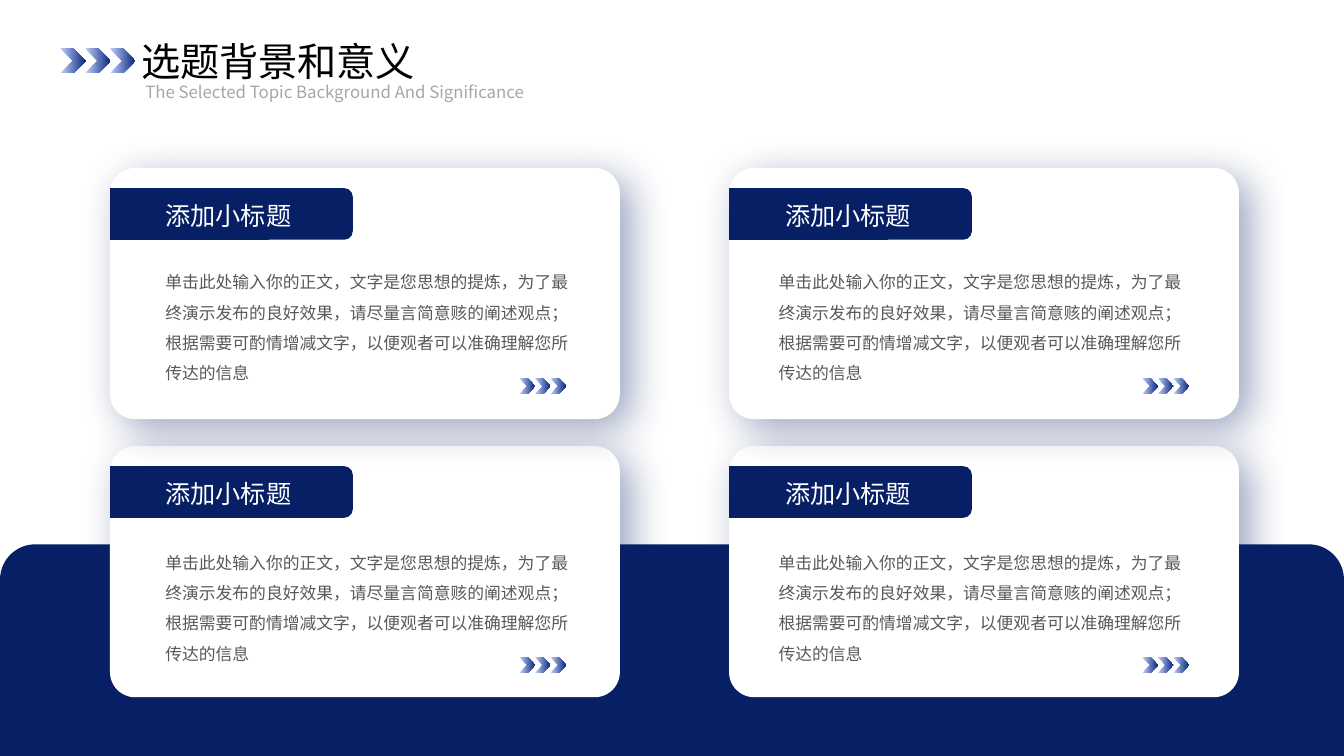
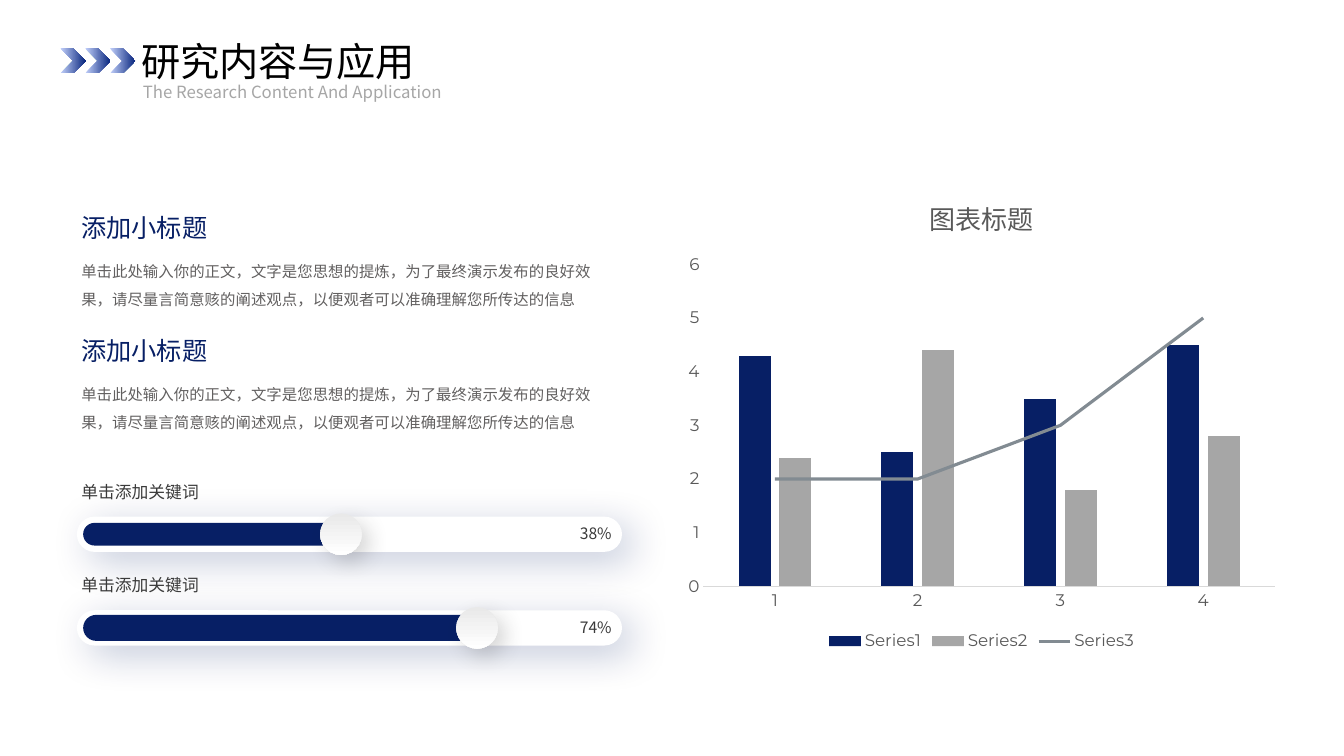
from dataclasses import dataclass
from typing import Optional

from lxml.etree import SubElement
from pptx import Presentation
from pptx.chart.data import CategoryChartData
from pptx.dml.color import RGBColor
from pptx.enum.chart import (XL_CHART_TYPE, XL_LEGEND_POSITION, XL_MARKER_STYLE,
                             XL_TICK_MARK)
from pptx.enum.shapes import MSO_SHAPE
from pptx.enum.text import MSO_ANCHOR, MSO_AUTO_SIZE, PP_ALIGN
from pptx.oxml.ns import qn
from pptx.util import Emu, Pt

# The slide is a grid of 160 columns by 90 rows; a cell is 6 points square.
COLUMNS, ROWS = 160, 90
CELL = Pt(6)

NAVY, WHITE, BLACK = "071F65", "FFFFFF", "000000"
PALE_BLUE, DEEP_BLUE = "C3D1FB", "09277F"
DARK, TEXT, SOFT_TEXT = "3A3A3A", "595959", "626060"
GREY, PALE_GREY, LINE_GREY, AXIS_GREY = "A6A6A6", "E9E9E9", "828B92", "D9D9D9"

HAN_FONT, CHART_FONT = "Noto Sans CJK SC", "Montserrat"

SUBHEADING = "添加小标题"
KEYWORD = "单击添加关键词"
CARD_TEXT = ("单击此处输入你的正文，文字是您思想的提炼，为了最终演示发布的良好效果，"
             "请尽量言简意赅的阐述观点；根据需要可酌情增减文字，以便观者可以准确理解您所传达的信息")
SECTION_TEXT = ("单击此处输入你的正文，文字是您思想的提炼，为了最终演示发布的良好效果，"
                "请尽量言简意赅的阐述观点，以便观者可以准确理解您所传达的信息")


@dataclass(frozen=True)
class Area:
    """A rectangle in grid cells."""
    left: float
    top: float
    width: float
    height: float

    def shifted(self, columns: float, rows: float) -> "Area":
        return Area(self.left + columns, self.top + rows, self.width, self.height)

    def lengths(self) -> list[Emu]:
        return [cells(n) for n in (self.left, self.top, self.width, self.height)]


@dataclass(frozen=True)
class Tiling:
    """An area repeated at fixed steps across and down."""
    first: Area
    across: float
    down: float

    def tile(self, column: int, row: int) -> Area:
        return self.first.shifted(column * self.across, row * self.down)


@dataclass(frozen=True)
class Style:
    size: float
    colour: str
    spacing: float = 1.0
    align: PP_ALIGN = PP_ALIGN.LEFT
    side_margin: float = 1.2


@dataclass(frozen=True)
class Shadow:
    colour: str
    opacity: int
    blur: float
    distance: float
    angle: int


@dataclass(frozen=True)
class Slider:
    middle: float
    fill_width: float
    fill_height: float
    knob_centre: float
    value: str


TITLE = Style(28, BLACK, side_margin=0)
SUBTITLE = Style(12, GREY, side_margin=0)
CARD_LABEL = Style(18, WHITE)
CARD_BODY = Style(12, TEXT, spacing=1.5)
SECTION_LABEL = Style(18, NAVY)
SECTION_BODY = Style(11, SOFT_TEXT, spacing=1.5)
SLIDER_LABEL = Style(12, DARK)
SLIDER_VALUE = Style(11.2, DARK, align=PP_ALIGN.RIGHT)

CARD_SHADOW = Shadow(NAVY, 40, 29, 10, 40)
TRACK_SHADOW = Shadow(NAVY, 23, 29, 10, 40)
KNOB_SHADOW = Shadow(DARK, 20, 15, 8, 45)

CARDS = Tiling(Area(13.1, 20, 60.7, 29.9), 73.7, 33.1)
CARD_LABELS = Tiling(Area(18.5, 23.2, 19.9, 4.8), 73.8, 33.1)
CARD_BODIES = Tiling(Area(18.5, 30.6, 51.2, 15.4), 73, 33.4)
CARD_CHEVRONS = Tiling(Area(61.85, 45, 1.85, 1.95), 74.15, 33.2)
TAB_LENGTH, TAB_HEIGHT, TAB_DROP = 28.9, 6.15, 2.4

SECTION_LABELS = Tiling(Area(8.5, 24.7, 28, 4.8), 0, 14.65)
SECTION_BODIES = Tiling(Area(8.5, 29.5, 63.8, 7.6), 0, 14.65)
SLIDERS = [Slider(63.6, 31.7, 2.7, 40.6, "38%"),
           Slider(74.75, 49, 3.1, 56.8, "74%")]
KNOB = 4.95


def cells(count: float) -> Emu:
    return Emu(round(count * CELL))


def colour(value: str) -> RGBColor:
    return RGBColor.from_string(value)


def style_font(font, size: float, shade: str, name: str) -> None:
    font.size = Pt(size)
    font.bold = False
    font.color.rgb = colour(shade)
    font.name = name


def style_span(span, size: float, shade: str) -> None:
    """Set the font for Latin and Chinese letters alike."""
    style_font(span.font, size, shade, HAN_FONT)
    SubElement(span.font._element, qn("a:ea"), typeface=HAN_FONT)


def write(box, area: Area, text: str, style: Style) -> None:
    box.left, box.top, box.width, box.height = area.lengths()
    frame = box.text_frame
    frame.text = text
    frame.word_wrap = True
    frame.auto_size = MSO_AUTO_SIZE.NONE
    frame.vertical_anchor = MSO_ANCHOR.TOP
    frame.margin_left = frame.margin_right = cells(style.side_margin)
    frame.margin_top = frame.margin_bottom = cells(0.6)
    para = frame.paragraphs[0]
    para.alignment = style.align
    para.line_spacing = style.spacing
    style_span(para.runs[0], style.size, style.colour)


def add_text(page, area: Area, text: str, style: Style) -> None:
    write(page.shapes.add_textbox(*area.lengths()), area, text, style)


def add_shadow(shape, shadow: Shadow) -> None:
    effects = shape._element.spPr.find(qn("a:effectLst"))
    outer = SubElement(effects, qn("a:outerShdw"), blurRad=str(Pt(shadow.blur)),
                       dist=str(Pt(shadow.distance)), dir=str(shadow.angle * 60000),
                       algn="tl", rotWithShape="0")
    shade = SubElement(outer, qn("a:srgbClr"), val=shadow.colour)
    SubElement(shade, qn("a:alpha"), val=str(shadow.opacity * 1000))


def add_shape(page, kind: MSO_SHAPE, area: Area, *fills: str, angle: float = 0,
              shadow: Optional[Shadow] = None):
    """Draw a borderless shape; two fills make a gradient."""
    shape = page.shapes.add_shape(kind, *area.lengths())
    shape.shadow.inherit = False
    shape.line.fill.background()
    if len(fills) == 1:
        shape.fill.solid()
        shape.fill.fore_color.rgb = colour(fills[0])
    else:
        shape.fill.gradient()
        shape.fill.gradient_angle = angle
        for stop, shade in zip(shape.fill.gradient_stops, fills):
            stop.color.rgb = colour(shade)
    if shadow:
        add_shadow(shape, shadow)
    return shape


def add_chevrons(page, first: Area, step: float) -> None:
    for index in range(3):
        add_shape(page, MSO_SHAPE.CHEVRON, first.shifted(index * step, 0),
                  PALE_BLUE, DEEP_BLUE)


def add_page(deck, title: str, subtitle: str, subtitle_left: float):
    page = deck.slides.add_slide(deck.slide_layouts.get_by_name("Title Only"))
    add_chevrons(page, Area(7.2, 5.75, 3, 3), 2.95)
    write(page.shapes.title, Area(16.8, 3.85, 41.6, 6.8), title, TITLE)
    add_text(page, Area(subtitle_left, 9.1, 49.3, 3.6), subtitle, SUBTITLE)
    return page


def add_card(page, column: int, row: int) -> None:
    card = CARDS.tile(column, row)
    panel = add_shape(page, MSO_SHAPE.ROUNDED_RECTANGLE, card, WHITE, shadow=CARD_SHADOW)
    panel.adjustments[0] = 0.1
    turn = (TAB_LENGTH - TAB_HEIGHT) / 2
    upright = Area(card.left + turn, card.top + TAB_DROP - turn, TAB_HEIGHT, TAB_LENGTH)
    tab = add_shape(page, MSO_SHAPE.ROUND_2_SAME_RECTANGLE, upright, NAVY)
    tab.rotation = 90
    add_text(page, CARD_LABELS.tile(column, row), SUBHEADING, CARD_LABEL)
    add_text(page, CARD_BODIES.tile(column, row), CARD_TEXT, CARD_BODY)
    add_chevrons(page, CARD_CHEVRONS.tile(column, row), 1.85)


def add_slider(page, slider: Slider) -> None:
    for area, shade, shadow in (
            (Area(9.15, slider.middle - 2.1, 64.9, 4.2), WHITE, TRACK_SHADOW),
            (Area(9.9, slider.middle - slider.fill_height / 2,
                  slider.fill_width, slider.fill_height), NAVY, None)):
        bar = add_shape(page, MSO_SHAPE.ROUNDED_RECTANGLE, area, shade, shadow=shadow)
        bar.adjustments[0] = 0.5
    add_text(page, Area(8.5, slider.middle - 6.9, 29.2, 4.1), KEYWORD, SLIDER_LABEL)
    add_text(page, Area(63.8, slider.middle - 1.8, 10.2, 4.7), slider.value, SLIDER_VALUE)
    knob = Area(slider.knob_centre - KNOB / 2, slider.middle - KNOB / 2, KNOB, KNOB)
    add_shape(page, MSO_SHAPE.OVAL, knob, PALE_GREY, WHITE, angle=270, shadow=KNOB_SHADOW)


def move_last_series_to_line(chart) -> None:
    bars = chart.plots[0]._element
    series = bars.findall(qn("c:ser"))[-1]
    for bar_only in series.findall(qn("c:invertIfNegative")):
        series.remove(bar_only)
    lines = bars.makeelement(qn("c:lineChart"))
    bars.addnext(lines)
    SubElement(lines, qn("c:grouping"), val="standard")
    SubElement(lines, qn("c:varyColors"), val="0")
    lines.append(series)
    SubElement(lines, qn("c:marker"), val="1")
    for axis in bars.findall(qn("c:axId")):
        SubElement(lines, qn("c:axId"), val=axis.get("val"))


def add_combined_chart(page) -> None:
    data = CategoryChartData()
    data.categories = ["1", "2", "3", "4"]
    data.add_series("Series1", (4.3, 2.5, 3.5, 4.5))
    data.add_series("Series2", (2.4, 4.4, 1.8, 2.8))
    data.add_series("Series3", (2, 2, 3, 5))
    area = Area(80.5, 21, 72.7, 57)
    chart = page.shapes.add_chart(XL_CHART_TYPE.COLUMN_CLUSTERED, *area.lengths(), data).chart
    style_font(chart.font, 12, TEXT, CHART_FONT)
    move_last_series_to_line(chart)

    bars, lines = list(chart.plots)
    bars.vary_by_categories = False
    bars.gap_width, bars.overlap = 219, -27
    for series, shade in zip(bars.series, (NAVY, GREY)):
        series.format.fill.solid()
        series.format.fill.fore_color.rgb = colour(shade)
    trend = lines.series[0]
    trend.smooth = False
    trend.marker.style = XL_MARKER_STYLE.NONE
    trend.format.line.color.rgb = colour(LINE_GREY)
    trend.format.line.width = Pt(2.25)

    for axis in (chart.category_axis, chart.value_axis):
        axis.major_tick_mark = axis.minor_tick_mark = XL_TICK_MARK.NONE
        axis.has_major_gridlines = False
        style_font(axis.tick_labels.font, 12, TEXT, CHART_FONT)
    chart.category_axis.format.line.color.rgb = colour(AXIS_GREY)
    chart.category_axis.format.line.width = Pt(0.75)
    chart.value_axis.format.line.fill.background()
    chart.value_axis.minimum_scale, chart.value_axis.maximum_scale = 0, 6
    chart.value_axis.major_unit = 1

    chart.has_title = True
    heading = chart.chart_title.text_frame
    heading.text = "图表标题"
    style_span(heading.paragraphs[0].runs[0], 18.6, TEXT)
    chart.has_legend = True
    chart.legend.position = XL_LEGEND_POSITION.BOTTOM
    chart.legend.include_in_layout = False
    style_font(chart.legend.font, 12, TEXT, CHART_FONT)


def main() -> None:
    deck = Presentation()
    deck.slide_width, deck.slide_height = cells(COLUMNS), cells(ROWS)

    background = add_page(deck, "选题背景和意义",
                          "The Selected Topic Background And Significance", 17.3)
    add_shape(background, MSO_SHAPE.ROUND_2_SAME_RECTANGLE,
              Area(0, 64.8, COLUMNS, ROWS - 64.8), NAVY)
    for row in (1, 0):
        for column in (0, 1):
            add_card(background, column, row)

    research = add_page(deck, "研究内容与应用", "The Research Content And Application", 17)
    for row in (0, 1):
        add_text(research, SECTION_LABELS.tile(0, row), SUBHEADING, SECTION_LABEL)
        add_text(research, SECTION_BODIES.tile(0, row), SECTION_TEXT, SECTION_BODY)
    for slider in SLIDERS:
        add_slider(research, slider)
    add_combined_chart(research)

    deck.save("out.pptx")


if __name__ == "__main__":
    main()
